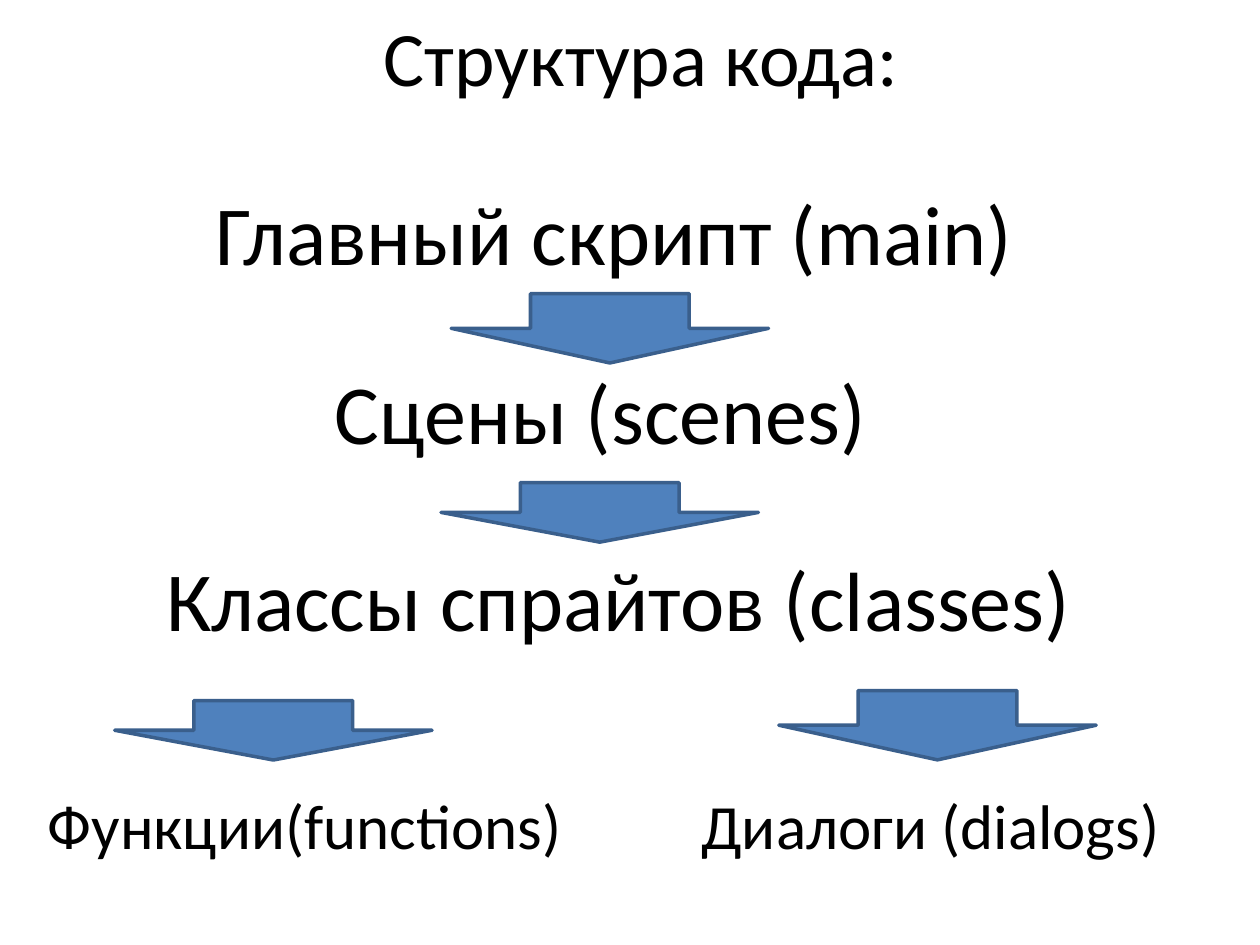
from pptx import Presentation
from pptx import util as u
from pptx.dml import color
from pptx.enum import shapes, text

BLACK = color.RGBColor(0x00, 0x00, 0x00)
BLUE = color.RGBColor(0x4F, 0x81, 0xBD)
DARK_BLUE = color.RGBColor(0x3A, 0x5F, 0x8C)


class CodeStructureSlide:
    font_name = "Calibri"
    arrow_width = 181.4
    outline_width = 2

    def __init__(self, presentation):
        self.slide = presentation.slides.add_slide(presentation.slide_layouts[6])

    def add_text(self, content, left, top, width, height, size):
        shape = self.slide.shapes.add_textbox(
            u.Pt(left), u.Pt(top), u.Pt(width), u.Pt(height))
        frame = shape.text_frame
        frame.text = content
        font = frame.paragraphs[0].runs[0].font
        font.name = self.font_name
        font.size = u.Pt(size)
        font.color.rgb = BLACK
        return frame

    def add_title(self, content):
        frame = self.add_text(content, 42.5, 0, 648, 64, 44)
        frame.word_wrap = True
        frame.vertical_anchor = text.MSO_ANCHOR.MIDDLE
        frame.paragraphs[0].alignment = text.PP_ALIGN.CENTER

    def add_label(self, content, left, top, width, size):
        height = size * 1.2 + 7.8
        frame = self.add_text(content, left, top, width, height, size)
        frame.word_wrap = False
        frame.auto_size = text.MSO_AUTO_SIZE.SHAPE_TO_FIT_TEXT

    def add_arrow(self, left, top, height):
        shape = self.slide.shapes.add_shape(
            shapes.MSO_SHAPE.DOWN_ARROW,
            u.Pt(left), u.Pt(top), u.Pt(self.arrow_width), u.Pt(height))
        shape.shadow.inherit = False
        shape.fill.solid()
        shape.fill.fore_color.rgb = BLUE
        shape.line.color.rgb = DARK_BLUE
        shape.line.width = u.Pt(self.outline_width)


def main():
    presentation = Presentation()
    presentation.slide_width = u.Pt(720)
    presentation.slide_height = u.Pt(540)
    slide = CodeStructureSlide(presentation)

    slide.add_title("Структура кода:")
    for label in (
        ("Главный скрипт (main)", 116, 100, 474.5, 48),
        ("Сцены (scenes)", 184.3, 202.5, 321, 48),
        ("Классы спрайтов (classes)", 87.8, 309.6, 536.4, 48),
        ("Функции(functions)", 20.2, 445.7, 311, 36),
        ("Диалоги (dialogs)", 393.8, 445.7, 278.6, 36),
    ):
        slide.add_label(*label)

    for arrow in (
        (257.8, 167.8, 39.6),
        (65.5, 400.3, 34),
        (252, 275.8, 34),
        (445, 394.6, 39.6),
    ):
        slide.add_arrow(*arrow)

    presentation.save("out.pptx")


if __name__ == "__main__":
    main()
